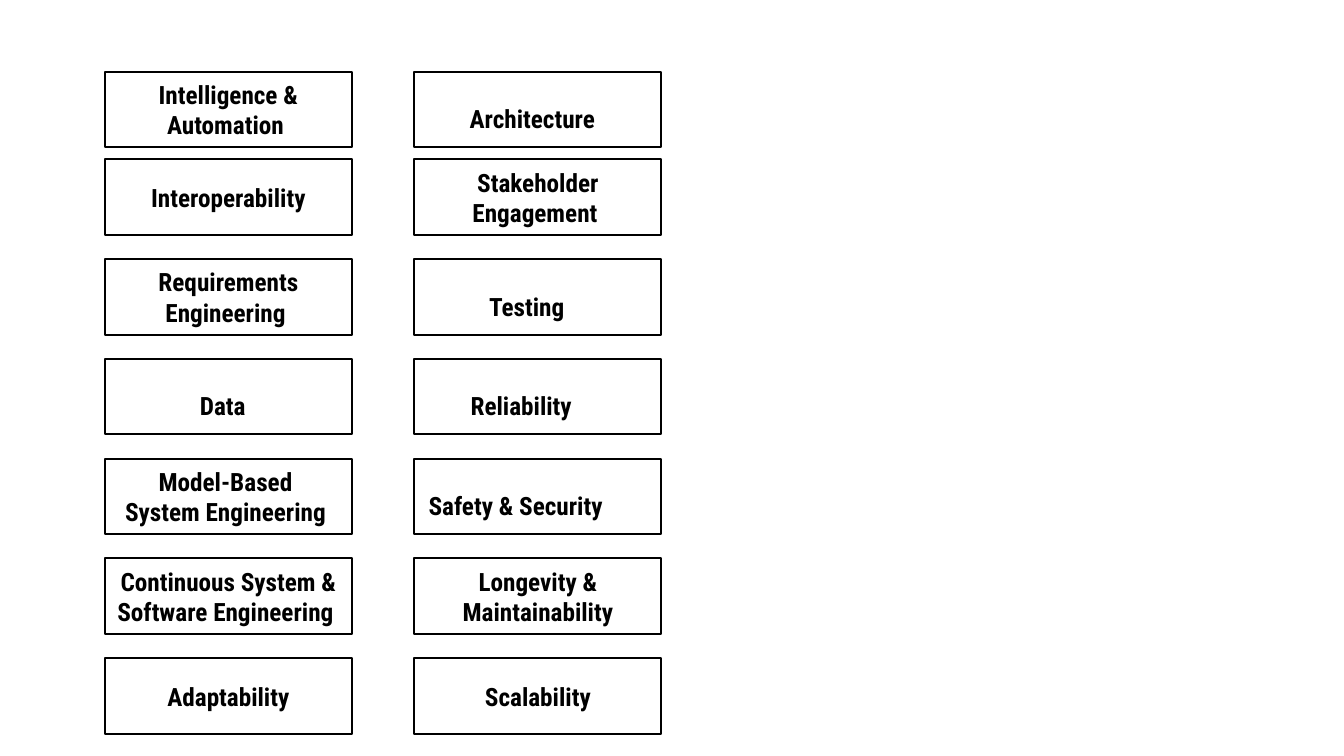
from dataclasses import dataclass

from pptx import Presentation
from pptx.dml.color import RGBColor
from pptx.enum.shapes import MSO_SHAPE
from pptx.enum.text import MSO_ANCHOR, PP_ALIGN
from pptx.slide import Slide
from pptx.util import Emu, Pt

BLACK = RGBColor(0x00, 0x00, 0x00)
WHITE = RGBColor(0xFF, 0xFF, 0xFF)

# Grid: 100 px to the inch
LEFTS = (104, 411)
TOPS = (71, *range(158, 654, 99))
WIDTH, HEIGHT = 245, 75
SIDE, EDGE = 10, 5
SHIFT, DROP = 11, 18

FONT = {"name": "Roboto Condensed", "size": Pt(18), "bold": True}


@dataclass(frozen=True)
class Topic:
    text: str
    shift: int = 0  # steps that push the label left; any also lowers it


COLUMNS = (
    (
        Topic("Intelligence & Automation "),
        Topic("Interoperability"),
        Topic("Requirements Engineering "),
        Topic("Data", 1),
        Topic("Model-Based \nSystem Engineering "),
        Topic("Continuous System & Software Engineering "),
        Topic("Adaptability"),
    ),
    (
        Topic("Architecture", 1),
        Topic("Stakeholder Engagement "),
        Topic("Testing", 2),
        Topic("Reliability", 3),
        Topic("Safety & Security", 4),
        Topic("Longevity & Maintainability"),
        Topic("Scalability"),
    ),
)


def px(count: int) -> Emu:
    return Emu(count * 9144)


def draw_topic(slide: Slide, topic: Topic, left: int, top: int) -> None:
    box = slide.shapes.add_shape(
        MSO_SHAPE.RECTANGLE, px(left), px(top), px(WIDTH), px(HEIGHT)
    )
    box.shadow.inherit = False
    box.fill.solid()
    box.fill.fore_color.rgb = WHITE
    box.line.color.rgb = BLACK
    box.line.width = Pt(1.5)

    # Label
    frame = box.text_frame
    layout = {
        "word_wrap": True,
        "vertical_anchor": MSO_ANCHOR.MIDDLE,
        "margin_left": px(SIDE),
        "margin_right": px(SIDE + SHIFT * topic.shift),
        "margin_top": px(EDGE + (DROP if topic.shift else 0)),
        "margin_bottom": px(EDGE),
        "text": topic.text,
    }
    for key, value in layout.items():
        setattr(frame, key, value)
    for line in frame.paragraphs:
        line.alignment = PP_ALIGN.CENTER
        for run in line.runs:
            for key, value in FONT.items():
                setattr(run.font, key, value)
            run.font.color.rgb = BLACK


def main() -> None:
    deck = Presentation()
    deck.slide_width, deck.slide_height = px(1333), px(750)
    slide = deck.slides.add_slide(deck.slide_layouts[6])

    # Two columns of topics
    for left, topics in zip(LEFTS, COLUMNS):
        for top, topic in zip(TOPS, topics):
            draw_topic(slide, topic, left, top)

    deck.save("out.pptx")


if __name__ == "__main__":
    main()
